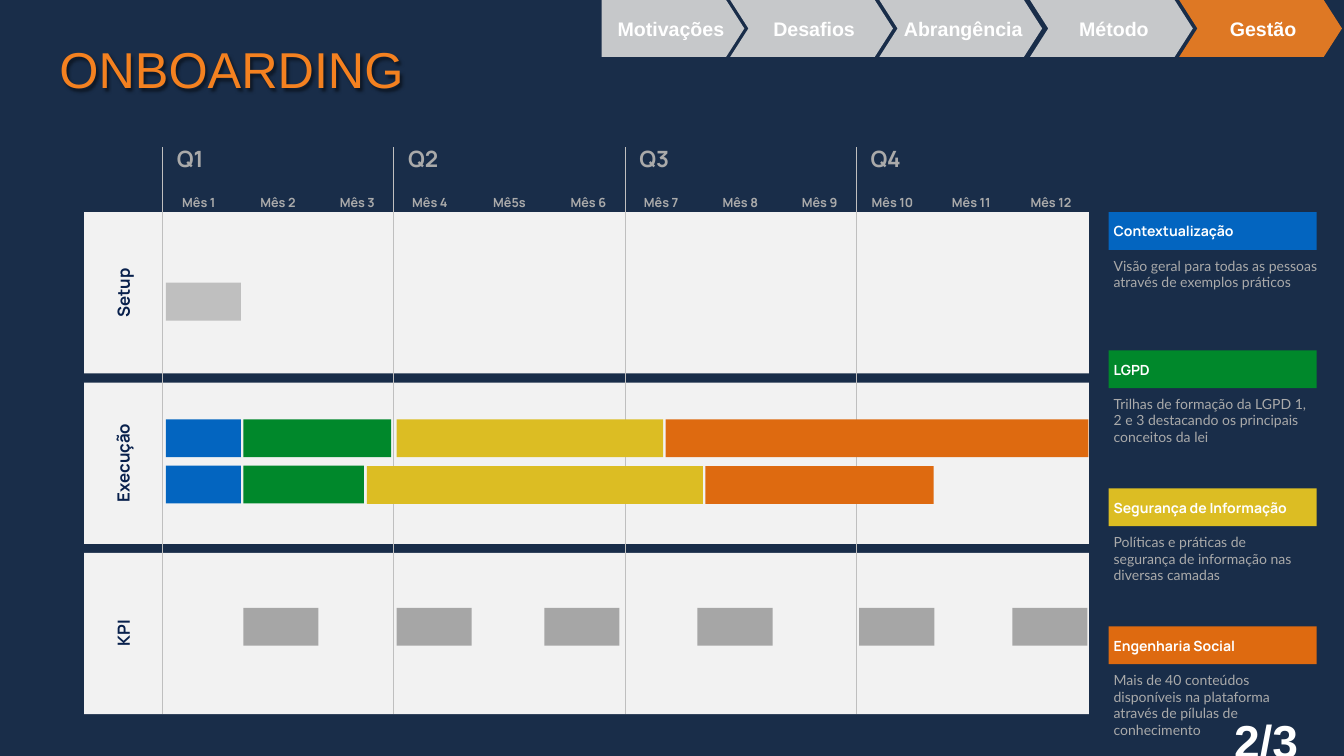
"""Build the onboarding roadmap slide with its quarterly plan and topic legend."""
from typing import NamedTuple

from lxml import etree
from pptx import Presentation
from pptx.dml.color import RGBColor
from pptx.enum.shapes import MSO_CONNECTOR, MSO_SHAPE
from pptx.enum.text import MSO_ANCHOR, MSO_AUTO_SIZE, PP_ALIGN
from pptx.oxml.ns import qn
from pptx.util import Inches, Pt

NAVY = RGBColor(0x19, 0x2D, 0x49)
INK = RGBColor(0x08, 0x20, 0x4C)
WHITE = RGBColor(0xFF, 0xFF, 0xFF)
PANEL = RGBColor(0xF2, 0xF2, 0xF2)
TAB = RGBColor(0xD9, 0xD9, 0xD9)
RULE = RGBColor(0xBF, 0xBF, 0xBF)
TEXT_GREY = RGBColor(0xAA, 0xAA, 0xAA)
KPI_GREY = RGBColor(0xA6, 0xA6, 0xA6)
ACCENT = RGBColor(0xF4, 0x81, 0x20)
BLUE = RGBColor(0x03, 0x65, 0xC0)
GREEN = RGBColor(0x00, 0x88, 0x2B)
YELLOW = RGBColor(0xDC, 0xBD, 0x23)
ORANGE = RGBColor(0xDE, 0x6A, 0x10)

BAR_HEIGHT = 0.75
MONTH_WIDTH = 1.49
QUARTER_LEFT, QUARTER_PITCH = 3.22, 4.59
PLAN_LEFT, PLAN_TOP, PLAN_WIDTH = 1.67, 4.21, 19.94
PANEL_HEIGHT, PANEL_PITCH = 3.2, 3.38
LEGEND_LEFT, LEGEND_PITCH, LEGEND_WIDTH = 22, 2.74, 4.13


class Box(NamedTuple):
    left: float
    top: float
    width: float
    height: float


class Style(NamedTuple):
    font: str
    size: float
    color: RGBColor
    bold: bool = True
    align: PP_ALIGN = PP_ALIGN.LEFT
    anchor: MSO_ANCHOR = MSO_ANCHOR.TOP


class Tab(NamedTuple):
    text: str
    left: float
    width: float = 3.23
    color: RGBColor = TAB
    outline: MSO_SHAPE = MSO_SHAPE.CHEVRON


class Label(NamedTuple):
    text: str
    box: Box


class Bar(NamedTuple):
    left: float
    top: float
    width: float
    color: RGBColor


class Topic(NamedTuple):
    title: str
    detail: str
    color: RGBColor
    detail_width: float = 4.11


TITLE = Style("Arial", 72, ACCENT, False)
TAB_TEXT = Style("Arial", 28, WHITE, True, PP_ALIGN.CENTER, MSO_ANCHOR.MIDDLE)
PAGE = TAB_TEXT._replace(size=66)
ROW = Style("Manrope", 24, INK, True, PP_ALIGN.CENTER, MSO_ANCHOR.MIDDLE)
MONTH = Style("Manrope", 18, TEXT_GREY, True, PP_ALIGN.CENTER, MSO_ANCHOR.BOTTOM)
QUARTER = Style("Manrope", 32, TEXT_GREY, anchor=MSO_ANCHOR.BOTTOM)
TOPIC = Style("Manrope", 20, WHITE, anchor=MSO_ANCHOR.MIDDLE)
DETAIL = Style("Lato", 20, TEXT_GREY, False)

TABS = [
    Tab("Desafios", 14.49),
    Tab("Abrangência", 17.45),
    Tab("Método", 20.44),
    Tab("Gestão", 23.4, color=ACCENT),
    Tab("Motivações", 11.94, 2.83, outline=MSO_SHAPE.PENTAGON),
]
ROWS = [
    Label("Setup", Box(1.84, 5.56, 1.21, 0.5)),
    Label("Execução", Box(1.51, 8.94, 1.86, 0.5)),
    Label("KPI", Box(2.07, 12.25, 0.75, 0.63)),
]
MONTHS = [
    ("Mês 1", 3.4, 1.09), ("Mês 2", 4.94, 1.15), ("Mês 3", 6.51, 1.16),
    ("Mês 4", 7.94, 1.18), ("Mê5s", 9.52, 1.18), ("Mês 6", 11.09, 1.17),
    ("Mês 7", 12.55, 1.14), ("Mês 8", 14.1, 1.18), ("Mês 9", 15.68, 1.17),
    ("Mês 10", 17.06, 1.3), ("Mês 11", 18.67, 1.21), ("Mês 12", 20.22, 1.27),
]
QUARTER_WIDTHS = [0.9, 1.01, 1.03, 1.07]
KPI_LEFTS = [4.83, 7.87, 10.8, 13.84, 17.05, 20.09]
BARS = [
    Bar(3.29, 5.61, MONTH_WIDTH, RULE),
    Bar(3.29, 8.32, MONTH_WIDTH, BLUE),
    Bar(4.83, 8.32, 2.93, GREEN),
    Bar(7.87, 8.32, 5.29, YELLOW),
    Bar(13.21, 8.32, 8.39, ORANGE),
    Bar(3.29, 9.24, MONTH_WIDTH, BLUE),
    Bar(4.83, 9.24, 2.39, GREEN),
    Bar(7.28, 9.25, 6.67, YELLOW),
    Bar(14, 9.25, 4.53, ORANGE),
] + [Bar(left, 12.06, MONTH_WIDTH, KPI_GREY) for left in KPI_LEFTS]
TOPICS = [
    Topic("Contextualização", "Visão geral para todas as pessoas através de exemplos práticos", BLUE, 4.46),
    Topic("LGPD", "Trilhas de formação da LGPD 1, 2 e 3 destacando os principais conceitos da lei", GREEN),
    Topic("Segurança de Informação",
          "Políticas e práticas de segurança de informação nas diversas camadas", YELLOW),
    Topic("Engenharia Social",
          "Mais de 40 conteúdos disponíveis na plataforma através de pílulas de conhecimento", ORANGE),
]


def write(shape, text: str, style: Style) -> None:
    frame = shape.text_frame
    frame.vertical_anchor = style.anchor
    paragraph = frame.paragraphs[0]
    paragraph.text = text
    paragraph.alignment = style.align
    font = paragraph.font
    font.name, font.size, font.bold = style.font, Pt(style.size), style.bold
    font.color.rgb = style.color


def add_block(slide, box: Box, color: RGBColor, outline: MSO_SHAPE = MSO_SHAPE.RECTANGLE):
    shape = slide.shapes.add_shape(outline, *map(Inches, box))
    shape.shadow.inherit = False
    shape.fill.solid()
    shape.fill.fore_color.rgb = color
    shape.line.fill.background()
    return shape


def add_text(slide, text: str, box: Box, style: Style, wrap: bool = True, inset: float | None = None):
    shape = slide.shapes.add_textbox(*map(Inches, box))
    frame = shape.text_frame
    frame.word_wrap = wrap
    frame.auto_size = MSO_AUTO_SIZE.SHAPE_TO_FIT_TEXT
    if inset is not None:
        frame.margin_left = frame.margin_right = Inches(inset)
        frame.margin_top = frame.margin_bottom = Inches(inset)
    write(shape, text, style)
    return shape


def add_title(slide, text: str) -> None:
    shape = add_text(slide, text, Box(0.98, 0.56, 19.64, 1.62), TITLE, inset=0.2)
    shape.text_frame.auto_size = MSO_AUTO_SIZE.NONE
    effects = etree.SubElement(shape._element.spPr, qn("a:effectLst"))
    shadow = etree.SubElement(effects, qn("a:outerShdw"), blurRad="50800", dist="50800", dir="2700000")
    color = etree.SubElement(shadow, qn("a:srgbClr"), val="000000")
    etree.SubElement(color, qn("a:alpha"), val="50000")


def add_tab(slide, tab: Tab) -> None:
    shape = add_block(slide, Box(tab.left, 0, tab.width, 1.13), tab.color, tab.outline)
    shape.adjustments[0] = 0.32
    color = shape._element.spPr.find(qn("a:solidFill"))[0]
    etree.SubElement(color, qn("a:alpha"), val="90000")
    shape.text_frame.margin_right = 0
    write(shape, tab.text, TAB_TEXT)


def add_quarter(slide, index: int, label_width: float) -> None:
    left = QUARTER_LEFT + index * QUARTER_PITCH
    line = slide.shapes.add_connector(
        MSO_CONNECTOR.STRAIGHT, Inches(left), Inches(2.92), Inches(left), Inches(14.17))
    line.line.color.rgb = RULE
    line.line.width = Pt(0.75)
    etree.SubElement(line._element.spPr, qn("a:effectLst"))
    add_text(slide, f"Q{index + 1}", Box(left + 0.19, 2.83, label_width, 0.64), QUARTER, wrap=False)


def add_topic(slide, index: int, topic: Topic) -> None:
    top = PLAN_TOP + index * LEGEND_PITCH
    add_block(slide, Box(LEGEND_LEFT, top, LEGEND_WIDTH, BAR_HEIGHT), topic.color)
    add_text(slide, topic.title, Box(LEGEND_LEFT, top + 0.16, LEGEND_WIDTH, 0.44), TOPIC)
    add_text(slide, topic.detail, Box(LEGEND_LEFT, top + 0.84, topic.detail_width, 1.11), DETAIL)


def main() -> None:
    presentation = Presentation()
    presentation.slide_width, presentation.slide_height = Inches(26.67), Inches(15)
    slide = presentation.slides.add_slide(presentation.slide_layouts[6])
    add_block(slide, Box(-0.03, -0.3, 26.83, 15.6), NAVY)
    add_title(slide, "ONBOARDING")
    for tab in TABS:
        add_tab(slide, tab)
    for index in range(len(ROWS)):
        add_block(slide, Box(PLAN_LEFT, PLAN_TOP + index * PANEL_PITCH, PLAN_WIDTH, PANEL_HEIGHT), PANEL)
    for index, width in enumerate(QUARTER_WIDTHS):
        add_quarter(slide, index, width)
    for row in ROWS:
        add_text(slide, row.text, row.box, ROW, wrap=False).rotation = 270
    for text, left, width in MONTHS:
        add_text(slide, text, Box(left, 3.81, width, 0.4), MONTH, wrap=False)
    for bar in BARS:
        add_block(slide, Box(bar.left, bar.top, bar.width, BAR_HEIGHT), bar.color)
    for index, topic in enumerate(TOPICS):
        add_topic(slide, index, topic)
    add_text(slide, "2/3", Box(23.56, 14.05, 3.13, 1.27), PAGE, inset=0.08)
    presentation.save("out.pptx")


if __name__ == "__main__":
    main()
